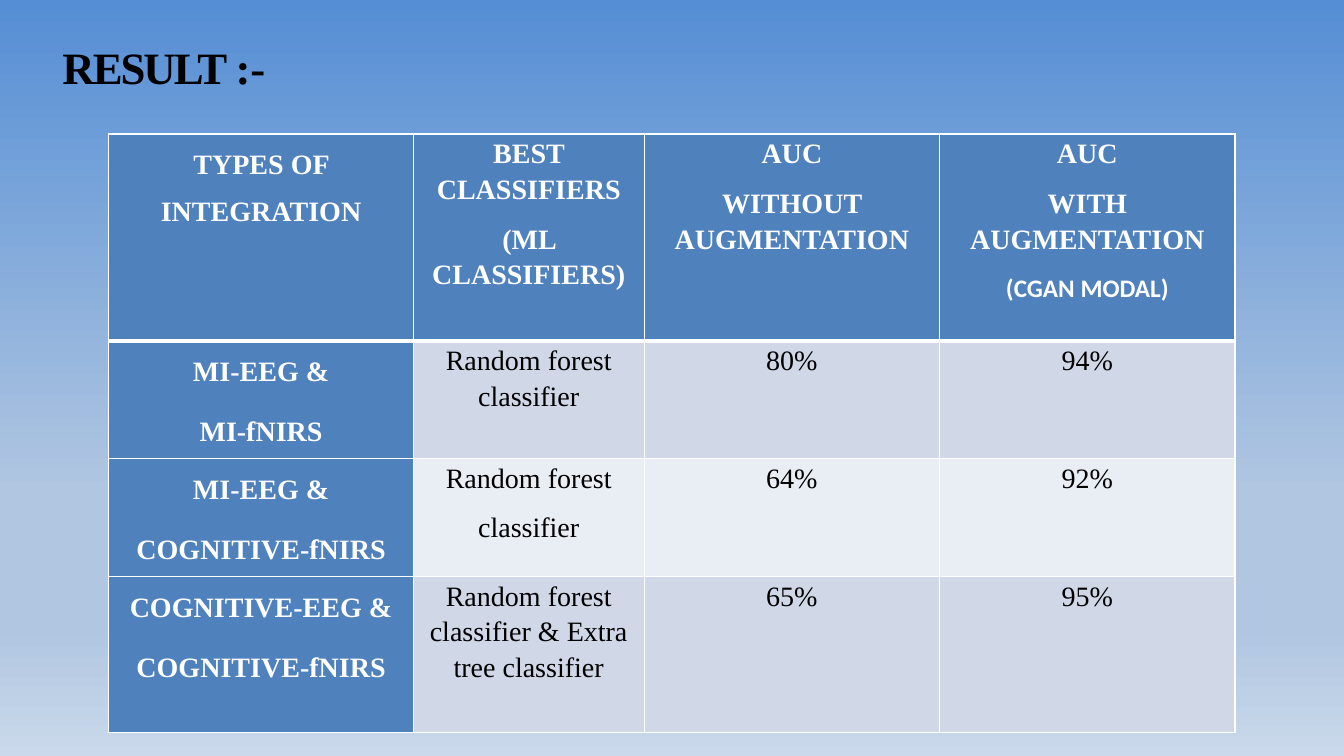
from lxml.etree import SubElement
from pptx import Presentation
from pptx.dml.color import RGBColor
from pptx.enum.text import MSO_ANCHOR, PP_ALIGN
from pptx.oxml.ns import qn
from pptx.util import Inches, Pt

COLORS = {"white": "FFFFFF", "black": "000000", "blue": "4F81BD",
          "band_dark": "D0D8E8", "band_light": "E9EDF4"}
SKY = [(0, "558ED5"), (65, "B0C6E1"), (83, "B0C6E1"), (100, "CAD9EB")]
SERIF = "Times New Roman"

COL_WIDTHS = [3.02, 2.29, 2.93, 2.93]
ROW_HEIGHTS = [2.05, 1.17, 1.17, 1.55]
RESULTS = [
    [["TYPES OF INTEGRATION"],
     ["BEST CLASSIFIERS", "(ML CLASSIFIERS)"],
     ["AUC", "WITHOUT AUGMENTATION"],
     ["AUC", "WITH AUGMENTATION", "(CGAN MODAL)"]],
    [["MI-EEG &", "MI-fNIRS"],
     ["Random forest classifier"], ["80%"], ["94%"]],
    [["MI-EEG &", "COGNITIVE-fNIRS"],
     ["Random forest", "classifier"], ["64%"], ["92%"]],
    [["COGNITIVE-EEG &", "COGNITIVE-fNIRS"],
     ["Random forest classifier & Extra tree classifier"], ["65%"], ["95%"]],
]


def add_run(p, text, size=20, font=SERIF, color="black", bold=False, spacing=None):
    """Add a formatted run; spacing is the letter spacing in points."""
    r = p.add_run()
    r.text = text
    r.font.size, r.font.name, r.font.bold = Pt(size), font, bold
    r.font.color.rgb = RGBColor.from_string(COLORS[color])
    if spacing is not None:
        r.font._element.set("spc", str(round(spacing * 100)))


def set_background(s):
    fill = s.background.fill
    fill.gradient()
    fill.gradient_angle = 270
    stops = s.element.find(".//" + qn("a:gsLst"))
    for stop in list(stops):
        stops.remove(stop)
    for percent, color in SKY:
        stop = SubElement(stops, qn("a:gs"), pos=str(percent * 1000))
        SubElement(stop, qn("a:srgbClr"), val=color)


def set_title(s):
    title = s.shapes.title
    title.left, title.top = Inches(0.06), Inches(0)
    title.width, title.height = Inches(3.05), Inches(0.93)
    tf = title.text_frame
    tf.margin_left = tf.margin_right = tf.margin_bottom = Inches(0)
    tf.margin_top = Inches(0.39)
    tf.vertical_anchor = MSO_ANCHOR.TOP
    tf.word_wrap = True
    p = tf.paragraphs[0]
    p.alignment = PP_ALIGN.LEFT
    p.space_before = Pt(0)
    pPr = p._p.get_or_add_pPr()
    pPr.set("marL", str(Inches(0.56)))
    pPr.set("indent", "0")
    add_run(p, "RESULT ", size=32, bold=True, spacing=-1.5)
    add_run(p, ":-", size=32, bold=True, spacing=-0.2)


def set_borders(cell, row):
    """White borders, heavier on both sides of the header's lower edge."""
    widths = {"L": 1, "R": 1, "T": 3 if row == 1 else 1, "B": 3 if row == 0 else 1}
    tcPr = cell._tc.get_or_add_tcPr()
    for side, width in widths.items():
        ln = SubElement(tcPr, qn(f"a:ln{side}"), w=str(Pt(width)))
        SubElement(SubElement(ln, qn("a:solidFill")), qn("a:srgbClr"), val=COLORS["white"])


def fill_cell(cell, row, col, lines):
    heading = row == 0 or col == 0
    set_borders(cell, row)
    fill = "blue" if heading else "band_dark" if row % 2 else "band_light"
    cell.fill.solid()
    cell.fill.fore_color.rgb = RGBColor.from_string(COLORS[fill])
    cell.margin_left = cell.margin_right = Inches(0.07)
    cell.margin_top = cell.margin_bottom = Inches(0)
    tf = cell.text_frame
    for i, line in enumerate(lines):
        p = tf.add_paragraph() if i else tf.paragraphs[0]
        p.alignment = PP_ALIGN.CENTER
        p.line_spacing = 1.15 if col else 1.5
        p.space_after = Pt(10)
        is_model = line == "(CGAN MODAL)"
        add_run(p, line, size=18 if is_model else 20,
                font="Calibri" if is_model else SERIF,
                color="white" if heading else "black", bold=heading)


def add_results_table(s):
    table = s.shapes.add_table(
        len(ROW_HEIGHTS), len(COL_WIDTHS), Inches(1.08), Inches(1.33),
        Inches(sum(COL_WIDTHS)), Inches(sum(ROW_HEIGHTS))).table
    for column, width in zip(table.columns, COL_WIDTHS):
        column.width = Inches(width)
    for row, height in zip(table.rows, ROW_HEIGHTS):
        row.height = Inches(height)
    for i, cells in enumerate(RESULTS):
        for j, lines in enumerate(cells):
            fill_cell(table.cell(i, j), i, j, lines)


def main():
    prs = Presentation()
    prs.slide_width, prs.slide_height = Inches(13.33), Inches(7.5)
    s = prs.slides.add_slide(prs.slide_layouts[5])
    set_background(s)
    set_title(s)
    add_results_table(s)
    prs.save("out.pptx")


if __name__ == "__main__":
    main()
